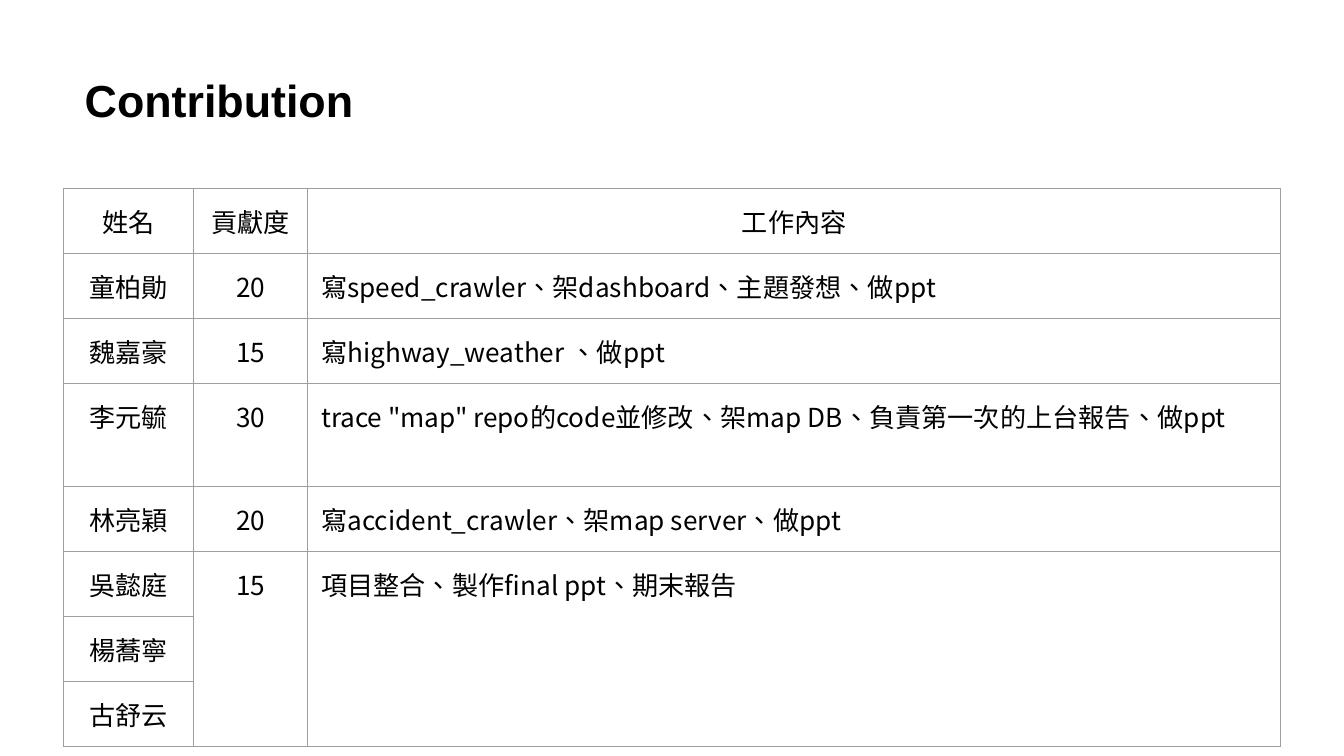
from lxml import etree
from pptx import Presentation
from pptx.dml.color import RGBColor
from pptx.enum import lang, text
from pptx.oxml import ns
from pptx.util import Inches, Pt

# Content
TITLE = "Contribution"
HEADER = ("姓名", "貢獻度", "工作內容")
MEMBERS = [
    ("童柏勛", "20", "寫speed_crawler、架dashboard、主題發想、做ppt"),
    ("魏嘉豪", "15", "寫highway_weather 、做ppt"),
    ("李元毓", "30", 'trace "map" repo的code並修改、架map DB、負責第一次的上台報告、做ppt'),
    ("林亮穎", "20", "寫accident_crawler、架map server、做ppt"),
    ("吳懿庭", "15", "項目整合、製作final ppt、期末報告"),
    ("楊蕎寧",),
    ("古舒云",),
]
SHARED_ROWS = (5, 7)  # first and last row of the team sharing one score

THEME = {
    "title_font": "Arial", "title_size": Pt(24),
    "body_font": "Noto Sans CJK TC", "body_size": Pt(14),
    "ink": RGBColor(0, 0, 0), "border": "9E9E9E", "border_width": Pt(0.75),
}
COLUMN_WIDTHS = (0.97, 0.85, 7.24)
ROW_HEIGHT = 0.43
CELL_MARGIN = Inches(0.1)


def add_run(paragraph, words, font, size, bold=False):
    run = paragraph.add_run()
    run.text = words
    run.font.name, run.font.size, run.font.bold = font, size, bold
    run.font.language_id = lang.MSO_LANGUAGE_ID.TRADITIONAL_CHINESE
    run.font.color.rgb = THEME["ink"]
    east_asian = etree.Element(ns.qn("a:ea"), typeface=font)
    run.font._element.find(ns.qn("a:latin")).addnext(east_asian)


def set_borders(cell):
    properties = cell._tc.get_or_add_tcPr()
    for index, side in enumerate(("lnL", "lnR", "lnT", "lnB")):
        line = etree.Element(ns.qn(f"a:{side}"), w=str(THEME["border_width"]))
        fill = etree.SubElement(line, ns.qn("a:solidFill"))
        etree.SubElement(fill, ns.qn("a:srgbClr"), val=THEME["border"])
        properties.insert(index, line)


# Widescreen slide, 16:9
presentation = Presentation()
presentation.slide_width = Inches(10)
presentation.slide_height = Inches(10 * 9 / 16)
slide = presentation.slides.add_slide(presentation.slide_layouts[5])

# Title
title = slide.shapes.title
title.left, title.top = Inches(0.56), Inches(0.5)
title.width, title.height = Inches(7.05), Inches(1.08)
frame = title.text_frame
frame.margin_left = frame.margin_right = Inches(0.07)
frame.margin_top = frame.margin_bottom = Inches(0.04)
frame.vertical_anchor = text.MSO_ANCHOR.TOP
frame.auto_size = text.MSO_AUTO_SIZE.NONE
frame.paragraphs[0].alignment = text.PP_ALIGN.LEFT
add_run(frame.paragraphs[0], TITLE, THEME["title_font"], THEME["title_size"], True)

# Contribution table
rows = [HEADER, *MEMBERS]
table = slide.shapes.add_table(
    len(rows), len(HEADER), Inches(0.47), Inches(1.4),
    Inches(sum(COLUMN_WIDTHS)), Inches(ROW_HEIGHT * len(rows))).table
table.first_row = table.horz_banding = False
for column, width in zip(table.columns, COLUMN_WIDTHS):
    column.width = Inches(width)

for row_index in range(len(rows)):
    for column_index in range(len(HEADER)):
        cell = table.cell(row_index, column_index)
        cell.margin_left = cell.margin_right = CELL_MARGIN
        cell.margin_top = cell.margin_bottom = CELL_MARGIN
        cell.fill.background()
        set_borders(cell)
        if column_index < len(rows[row_index]):
            paragraph = cell.text_frame.paragraphs[0]
            centred = row_index == 0 or column_index < 2
            paragraph.alignment = text.PP_ALIGN.CENTER if centred else text.PP_ALIGN.LEFT
            add_run(paragraph, rows[row_index][column_index],
                    THEME["body_font"], THEME["body_size"])

# Shared score and work description
first, last = SHARED_ROWS
for column_index in (1, 2):
    table.cell(first, column_index).merge(table.cell(last, column_index))

presentation.save("out.pptx")
